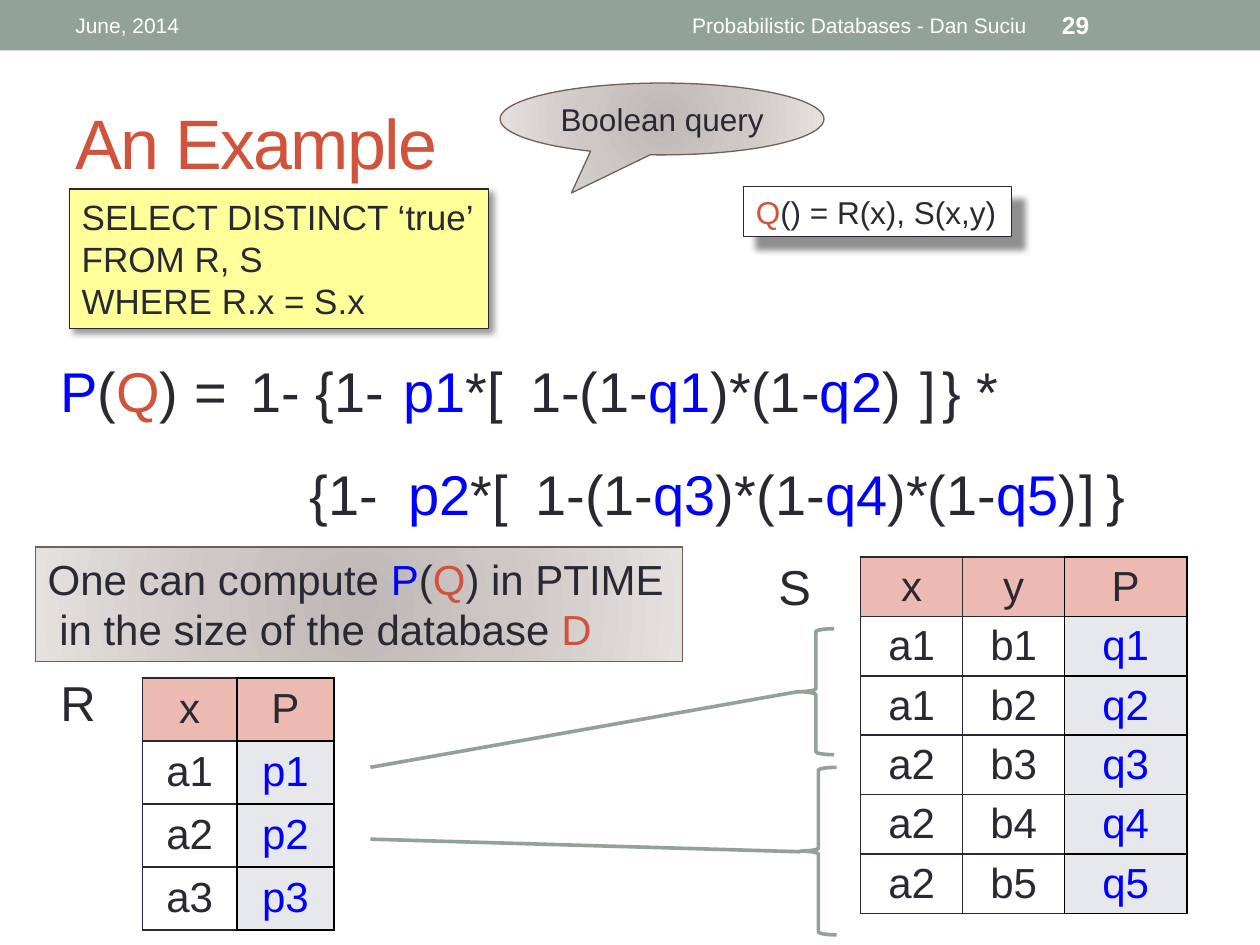
"""Build a slide on query probability over two small tables."""
from lxml import etree
from pptx import Presentation
from pptx.dml.color import RGBColor
from pptx.enum.shapes import MSO_CONNECTOR, MSO_SHAPE
from pptx.enum.text import MSO_ANCHOR, MSO_AUTO_SIZE, PP_ALIGN
from pptx.oxml import parse_xml
from pptx.oxml.ns import nsdecls, qn
from pptx.util import Inches, Pt

INK = RGBColor(0x29, 0x29, 0x34)
BLUE = RGBColor(0x00, 0x00, 0xFF)
RED = RGBColor(0xD2, 0x53, 0x3C)
SAGE = RGBColor(0x93, 0xA2, 0x99)
BROWN = RGBColor(0x72, 0x60, 0x56)
YELLOW = RGBColor(0xFF, 0xFF, 0x99)
PINK = RGBColor(0xED, 0xBA, 0xB1)
PALE = RGBColor(0xE6, 0xE8, 0xEC)
WHITE = RGBColor(0xFF, 0xFF, 0xFF)
BLACK = RGBColor(0x00, 0x00, 0x00)
STOPS = ((0, "BDB8B6"), (45, "CDC7C5"), (100, "E4E1DF"))
FONT = "Arial"
TOP, MID = MSO_ANCHOR.TOP, MSO_ANCHOR.MIDDLE
LEFT, RIGHT, CENTER = PP_ALIGN.LEFT, PP_ALIGN.RIGHT, PP_ALIGN.CENTER
RECT, BRACE = MSO_SHAPE.RECTANGLE, MSO_SHAPE.LEFT_BRACE
BUBBLE = MSO_SHAPE.OVAL_CALLOUT
STRAIGHT = MSO_CONNECTOR.STRAIGHT
FIXED = MSO_AUTO_SIZE.NONE


def place(at):
    """Turn four numbers into inch lengths."""
    return [Inches(n) for n in at]


def add_run(para, text, size, color=INK, bold=False):
    """Add one formatted run."""
    run = para.add_run()
    run.text = text
    font = run.font
    font.name, font.size, font.bold = FONT, Pt(size), bold
    font.color.rgb = color
    return run


def write(frame, lines, size, align=LEFT, anchor=TOP, color=INK, bold=False):
    """Fill a frame with lines, each a list of (text, color) or text."""
    frame.word_wrap = True
    frame.auto_size = FIXED
    frame.vertical_anchor = anchor
    frame.margin_right = Inches(0.1 if align != LEFT else 0)
    para = frame.paragraphs[0]
    para.alignment = align
    for i, line in enumerate(lines):
        if i:
            para.add_line_break()
        for part in line:
            text, tone = (part, color) if isinstance(part, str) else part
            add_run(para, text, size, tone, bold)


def add_text(slide, at, line, size, tab=None, **style):
    """Add a one-line text box, with an optional tab stop."""
    box = slide.shapes.add_textbox(*place(at))
    if tab:
        props = box.text_frame.paragraphs[0]._p.get_or_add_pPr()
        stops = etree.SubElement(props, qn("a:tabLst"))
        etree.SubElement(stops, qn("a:tab"), pos=str(Inches(tab)), algn="l")
    write(box.text_frame, [line], size, **style)


def add_shape(slide, kind, at, fill=None, line=None, width=0.75):
    """Add a flat preset shape."""
    shape = slide.shapes.add_shape(kind, *place(at))
    shape.shadow.inherit = False
    if fill is None:
        shape.fill.background()
    else:
        shape.fill.solid()
        shape.fill.fore_color.rgb = fill
    if line is None:
        shape.line.fill.background()
    else:
        shape.line.color.rgb = line
        shape.line.width = Pt(width)
    return shape


def add_glow(shape):
    """Give a shape the round grey gradient."""
    stops = "".join(f'<a:gs pos="{pos * 1000}"><a:srgbClr val="{tone}"/></a:gs>'
                    for pos, tone in STOPS)
    grad = parse_xml(
        f'<a:gradFill {nsdecls("a")} rotWithShape="1"><a:gsLst>{stops}</a:gsLst>'
        '<a:path path="circle"><a:fillToRect l="100000" t="100000" r="100000"'
        ' b="100000"/></a:path></a:gradFill>')
    props = shape._element.spPr
    props.replace(props.find(qn("a:solidFill")), grad)


def add_shade(shape, alpha, dist):
    """Cast a soft shadow down and to the right."""
    props = shape._element.spPr
    props.find(qn("a:effectLst")).append(parse_xml(
        f'<a:outerShdw {nsdecls("a")} blurRad="{Pt(4)}" dist="{Pt(dist)}"'
        ' dir="2700000" algn="tl" rotWithShape="0"><a:srgbClr val="000000">'
        f'<a:alpha val="{alpha * 1000}"/></a:srgbClr></a:outerShdw>'))


def add_link(slide, start, end):
    """Join two points with a line."""
    link = slide.shapes.add_connector(STRAIGHT, *place(start + end))
    link.line.color.rgb = SAGE
    link.line.width = Pt(2.08)
    etree.SubElement(link._element.spPr, qn("a:effectLst"))


def set_edge(cell, color):
    """Draw the four borders of a cell."""
    props = cell._tc.get_or_add_tcPr()
    for i, side in enumerate(("lnL", "lnR", "lnT", "lnB")):
        props.insert(i, parse_xml(
            f'<a:{side} {nsdecls("a")} w="{Pt(1)}"><a:solidFill>'
            f'<a:srgbClr val="{color}"/></a:solidFill></a:{side}>'))


def add_grid(slide, at, widths, height, rows):
    """Add a table whose last column holds probabilities."""
    size = (sum(widths), height * len(rows))
    grid = slide.shapes.add_table(len(rows), len(widths), *place(at + size)).table
    grid.first_row = grid.horz_banding = False
    for col, width in zip(grid.columns, widths):
        col.width = Inches(width)
    for r, row in enumerate(rows):
        grid.rows[r].height = Inches(height)
        for c, text in enumerate(row):
            cell = grid.cell(r, c)
            last = c == len(row) - 1
            cell.margin_top = cell.margin_bottom = Inches(0.03)
            cell.vertical_anchor = MID
            if r == 0 or last:
                cell.fill.solid()
                cell.fill.fore_color.rgb = PALE if r else PINK
            else:
                cell.fill.background()
            para = cell.text_frame.paragraphs[0]
            para.alignment = CENTER
            add_run(para, text, 24, BLUE if r and last else INK)
            set_edge(cell, BLACK if last else INK)


def add_sum(slide):
    """Set out the two rows of the formula."""
    one, two = 2.78, 3.6
    q1, q2, q3, q4, q5 = [(f"q{n}", BLUE) for n in range(1, 6)]
    head = [("P", BLUE), "(", ("Q", RED), ") ="]
    parts = (
        ((0.38, one, 1.54), head, None),
        ((4.11, one, 3.17), ["1-(1-", q1, ")*(1-", q2, ")"], None),
        ((3.1, one, 4.49), [("p1", BLUE), "*[\t]"], 4.11),
        ((4.15, two, 4.54), ["1-(1-", q3, ")*(1-", q4, ")*(1-", q5, ")"], None),
        ((3.14, two, 5.86), [("p2", BLUE), "*[\t]"], 5.33),
        ((1.89, one, 6.34), ["1- {1-\t} *"], 5.49),
        ((2.36, two, 6.76), ["{1-\t}"], 6.32),
    )
    for at, line, tab in parts:
        add_text(slide, at + (0.64,), line, 32, tab)


def main():
    """Build and save the slide."""
    deck = Presentation()
    deck.slide_width, deck.slide_height = Inches(10), Inches(7.5)
    slide = deck.slides.add_slide(deck.slide_layouts[5])
    add_shape(slide, RECT, (0, 0, 10, 0.4), SAGE)
    bar = dict(anchor=MID, color=WHITE)
    add_text(slide, (0.5, 0.02, 3.17, 0.36), ["June, 2014"], 12, **bar)
    add_text(slide, (3.75, 0.02, 4.5, 0.36),
             ["Probabilistic Databases - Dan Suciu"], 12, align=RIGHT, **bar)
    add_text(slide, (8.33, 0.02, 1.17, 0.36), ["29"], 14, bold=True, **bar)

    title = slide.shapes.title
    title.left, title.top, title.width, title.height = place((0.5, 0.58, 9, 1.08))
    write(title.text_frame, [["An Example"]], 40, anchor=MID, color=RED)
    title.text_frame.paragraphs[0].runs[0].font._element.set("spc", "-100")

    add_grid(slide, (6.83, 4.42), (0.81, 0.81, 0.97), 0.472,
             ("xyP", ("a1", "b1", "q1"), ("a1", "b2", "q2"),
              ("a2", "b3", "q3"), ("a2", "b4", "q4"), ("a2", "b5", "q5")))
    add_grid(slide, (1.13, 5.38), (0.75, 0.77), 0.5,
             ("xP", ("a1", "p1"), ("a2", "p2"), ("a3", "p3")))
    add_text(slide, (6.08, 4.37, 0.46, 0.57), ["S"], 28)
    add_text(slide, (0.38, 5.29, 0.49, 0.57), ["R"], 28)
    add_shape(slide, BRACE, (6.33, 4.99, 0.29, 1), None, SAGE, 2.08)
    add_shape(slide, BRACE, (6.35, 6.09, 0.29, 1.33), None, SAGE, 2.08)
    add_link(slide, (6.33, 5.49), (2.94, 6.09))
    add_link(slide, (6.35, 6.76), (2.94, 6.66))
    add_sum(slide)

    code = add_shape(slide, RECT, (0.55, 1.5, 3.33, 1.11), YELLOW, INK)
    add_shade(code, 40, 3)
    write(code.text_frame, [["SELECT DISTINCT ‘true’"], ["FROM R, S"],
                            ["WHERE R.x = S.x"]], 20)
    note = add_shape(slide, BUBBLE, (3.97, 0.66, 2.57, 0.57), WHITE, BROWN)
    note.adjustments[0], note.adjustments[1] = -0.28, 1.03
    add_glow(note)
    write(note.text_frame, [["Boolean query"]], 18, CENTER, MID)
    rule = add_shape(slide, RECT, (5.9, 1.48, 2.13, 0.4), WHITE, INK)
    add_shade(rule, 43, 10)
    write(rule.text_frame, [[("Q", RED), "() = R(x), S(x,y)"]], 18)
    claim = add_shape(slide, RECT, (0.28, 4.34, 5.14, 0.91), WHITE, BROWN)
    add_glow(claim)
    write(claim.text_frame, [
        ["One can compute ", ("P", BLUE), "(", ("Q", RED), ") in PTIME"],
        [" in the size of the database ", ("D", RED)]], 24)
    deck.save("out.pptx")


if __name__ == "__main__":
    main()
